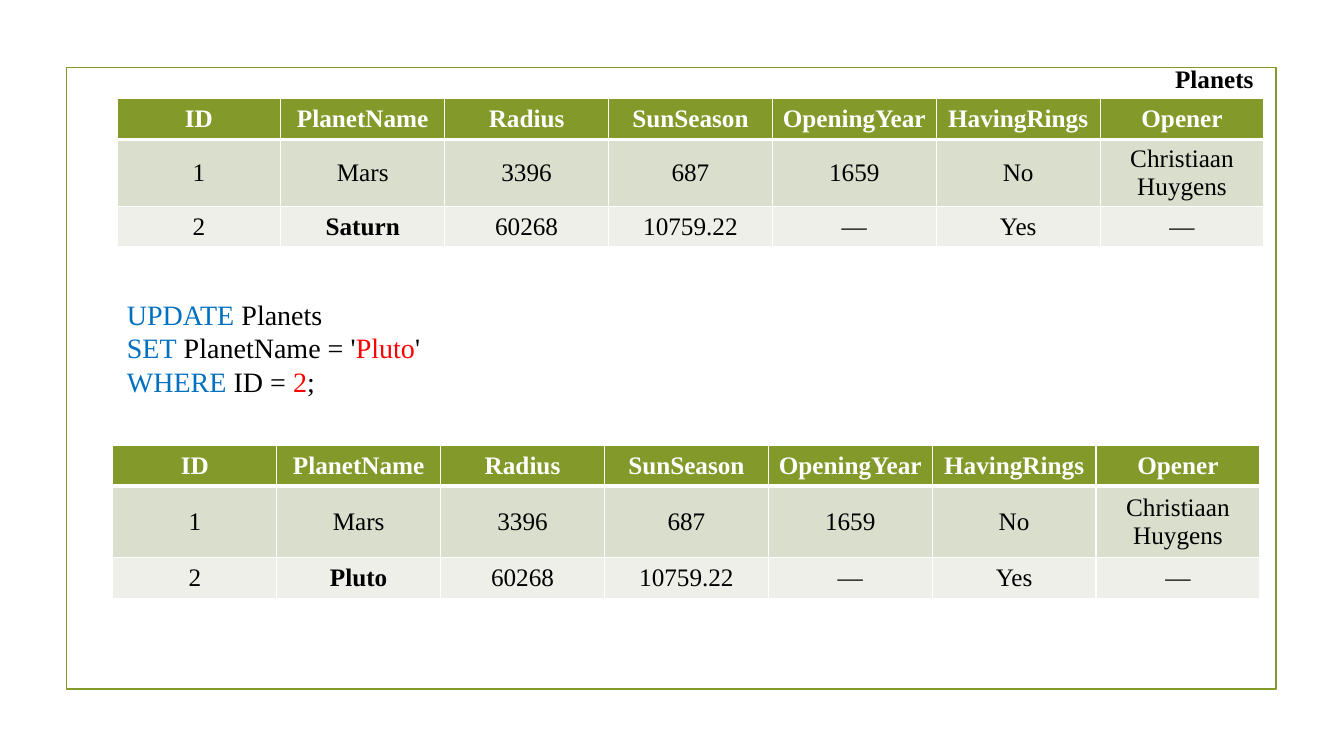
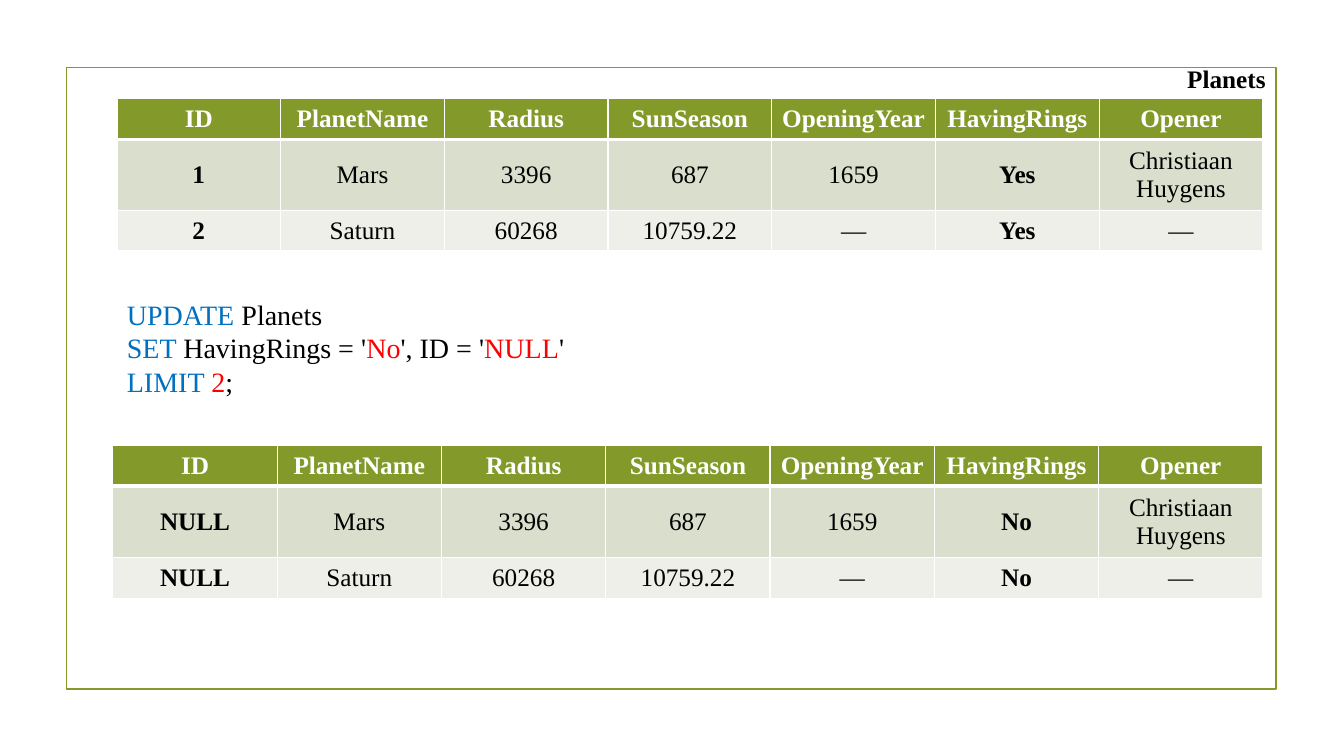
"""Build two slides that show planet tables before and after an SQL UPDATE."""
from lxml.etree import SubElement
from pptx import Presentation
from pptx.dml.color import RGBColor
from pptx.enum.shapes import MSO_SHAPE
from pptx.enum.text import MSO_ANCHOR, MSO_AUTO_SIZE, PP_ALIGN
from pptx.oxml.ns import qn
from pptx.util import Inches, Pt

COLORS = {
    "olive": "83992A",
    "sage": "D9DECD",
    "mist": "EDEFE8",
    "white": "FFFFFF",
    "plain": "000000",
    "keyword": "0070C0",
    "value": "FF0000",
}
FONT = "Times New Roman"
FIELDS = ["ID", "PlanetName", "Radius", "SunSeason", "OpeningYear", "HavingRings", "Opener"]
ROW_FILLS = ["olive", "sage", "mist"]
MARS = ["3396", "687", "1659"]
SATURN = ["60268", "10759.22", "—"]
HUYGENS = "Christiaan Huygens"

UPDATES = [
    {
        "label_left": 86.7,
        "widths": [85.35, 85.35],
        "bold": [(2, 1)],
        "before": [["1", "Mars", *MARS, "No", HUYGENS], ["2", "Saturn", *SATURN, "Yes", "—"]],
        "after": [["1", "Mars", *MARS, "No", HUYGENS], ["2", "Pluto", *SATURN, "Yes", "—"]],
        "query": [
            [("UPDATE", "keyword"), (" Planets", "plain")],
            [("SET", "keyword"), (" PlanetName = '", "plain"), ("Pluto", "value"), ("'", "plain")],
            [("WHERE", "keyword"), (" ID = ", "plain"), ("2", "value"), (";", "plain")],
        ],
    },
    {
        "label_left": 87.6,
        "widths": [85.28, 85.58],
        "bold": [(1, 0), (1, 5), (2, 0), (2, 5)],
        "before": [["1", "Mars", *MARS, "Yes", HUYGENS], ["2", "Saturn", *SATURN, "Yes", "—"]],
        "after": [["NULL", "Mars", *MARS, "No", HUYGENS], ["NULL", "Saturn", *SATURN, "No", "—"]],
        "query": [
            [("UPDATE", "keyword"), (" Planets", "plain")],
            [("SET ", "keyword"), ("HavingRings = '", "plain"), ("No", "value"),
             ("', ID = '", "plain"), ("NULL", "value"), ("'", "plain")],
            [("LIMIT ", "keyword"), ("2", "value"), (";", "plain")],
        ],
    },
]


def add_run(paragraph, text, color, size, bold=False):
    run = paragraph.add_run()
    run.text = text
    run.font.name = FONT
    run.font.size = Pt(size)
    run.font.bold = bold
    run.font.color.rgb = RGBColor.from_string(COLORS[color])


def add_border(cell, index, side, points):
    edge = cell._tc.get_or_add_tcPr().makeelement(qn(f"a:{side}"), {"w": str(Pt(points))})
    color = SubElement(SubElement(edge, qn("a:solidFill")), qn("a:srgbClr"))
    color.set("val", COLORS["white"])
    cell._tc.get_or_add_tcPr().insert(index, edge)


deck = Presentation()
deck.slide_width, deck.slide_height = Inches(13.33), Inches(7.5)
column, row = deck.slide_width / 100, deck.slide_height / 100
blank = deck.slide_layouts[6]

for update in UPDATES:
    slide = deck.slides.add_slide(blank)

    if update is UPDATES[0]:
        frame = slide.shapes.add_shape(
            MSO_SHAPE.RECTANGLE, int(4.95 * column), int(8.93 * row),
            int(90 * column), int(82.27 * row))
        frame.shadow.inherit = False
        frame.fill.background()
        frame.line.color.rgb = RGBColor.from_string(COLORS["olive"])
        frame.line.width = Pt(1.25)
        blank.shapes._spTree.append(frame._element)

    placements = [("before", 8.7, 13.07, 8.8), ("after", 8.4, 58.93, 9.4)]
    for (state, left, top, mars_height), width in zip(placements, update["widths"]):
        heights = [5.4, mars_height, 5.4]
        planets = slide.shapes.add_table(
            len(heights), len(FIELDS), int(left * column), int(top * row),
            int(width * column), int(sum(heights) * row)).table
        for planet_row, height in zip(planets.rows, heights):
            planet_row.height = int(height * row)
        for r, values in enumerate([FIELDS, *update[state]]):
            for c, value in enumerate(values):
                cell = planets.cell(r, c)
                cell.vertical_anchor = MSO_ANCHOR.MIDDLE
                cell.fill.solid()
                cell.fill.fore_color.rgb = RGBColor.from_string(COLORS[ROW_FILLS[r]])
                borders = {"lnL": 1, "lnR": 1, "lnT": 3 if r == 1 else 1, "lnB": 3 if r == 0 else 1}
                for index, (side, points) in enumerate(borders.items()):
                    add_border(cell, index, side, points)
                paragraph = cell.text_frame.paragraphs[0]
                paragraph.alignment = PP_ALIGN.CENTER
                add_run(paragraph, value, "white" if r == 0 else "plain", 18,
                        r == 0 or (r, c) in update["bold"])

    query = slide.shapes.add_textbox(
        int(8.7 * column), int(38.67 * row), int(50 * column), int(14.8 * row)).text_frame
    query.word_wrap = True
    query.auto_size = MSO_AUTO_SIZE.SHAPE_TO_FIT_TEXT
    for number, clause in enumerate(update["query"]):
        paragraph = query.add_paragraph() if number else query.paragraphs[0]
        for text, color in clause:
            add_run(paragraph, text, color, 20)

    label = slide.shapes.add_textbox(
        int(update["label_left"] * column), int(7.73 * row),
        int(7.43 * column), int(5.33 * row)).text_frame
    label.word_wrap = False
    label.auto_size = MSO_AUTO_SIZE.SHAPE_TO_FIT_TEXT
    add_run(label.paragraphs[0], "Planets", "plain", 18, True)

deck.save("out.pptx")
